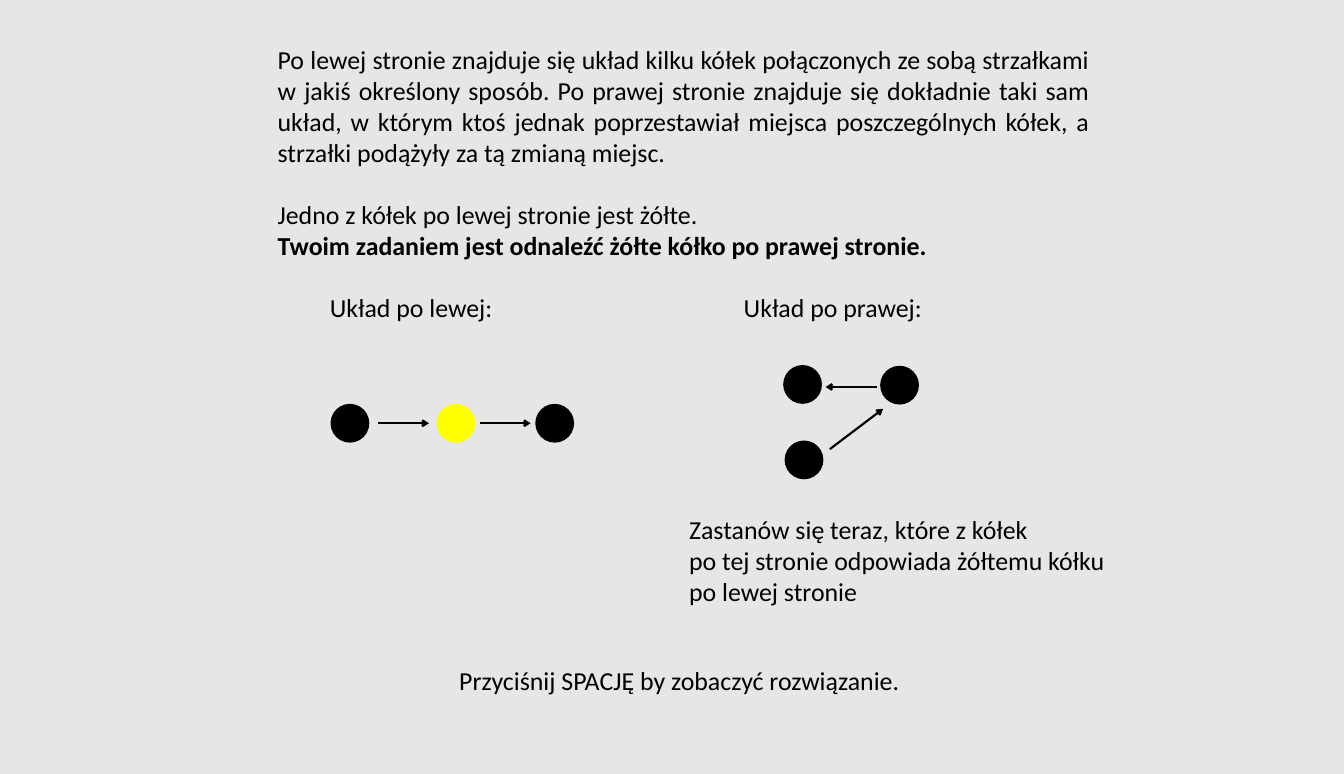
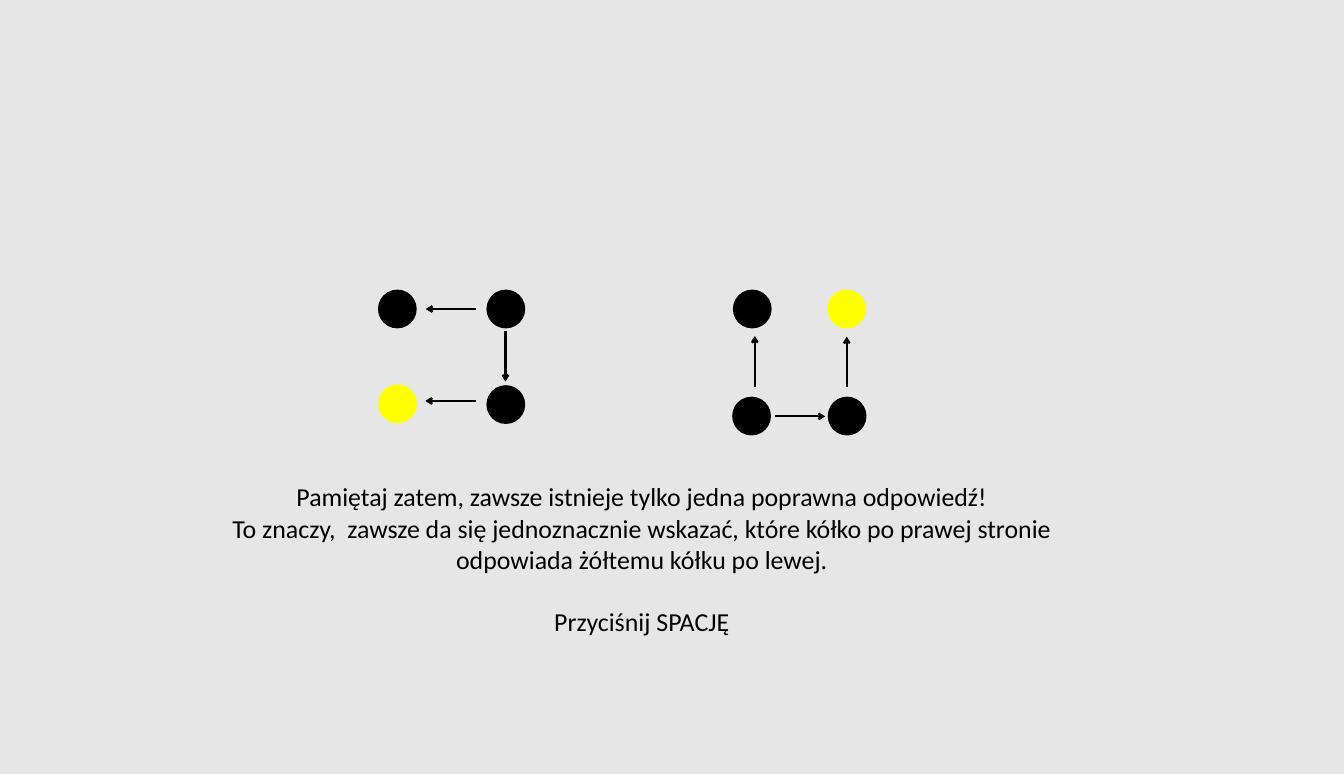
from lxml import etree
from pptx import Presentation
from pptx.dml.color import RGBColor
from pptx.enum.shapes import MSO_CONNECTOR, MSO_SHAPE
from pptx.enum.text import PP_ALIGN as AL
from pptx.oxml.ns import qn
from pptx.util import Pt

rgb = RGBColor.from_string
GREY, BLACK, YELLOW = "E7E6E6", "000000", "FFFF00"
FONT, SIZE = "Calibri", 36
LINE = 43.2  # height of one text line
DOT = 54     # diameter of a circle


def add_text(s, left, top, width, paragraphs, align=AL.LEFT):
    """Add a text box; each paragraph is (text, bold, space before)."""
    box = s.shapes.add_textbox(Pt(left), Pt(top), Pt(width), Pt(LINE + 7.2))
    tf = box.text_frame
    tf.word_wrap = True
    for i, (text, bold, before) in enumerate(paragraphs):
        p = tf.paragraphs[0] if i == 0 else tf.add_paragraph()
        p.text = text
        p.alignment = align
        p.space_before = Pt(before)
        font = p.runs[0].font
        font.name, font.size, font.bold = FONT, Pt(SIZE), bold
        font.color.rgb = rgb(BLACK)


def add_diagram(s, dots, arrows):
    """Add a group of circles (centre x, y, colour) and arrows (x1, y1, x2, y2)."""
    shapes = s.shapes.add_group_shape().shapes
    for x, y, color in dots:
        sp = shapes.add_shape(MSO_SHAPE.OVAL, Pt(x - DOT / 2), Pt(y - DOT / 2),
                              Pt(DOT), Pt(DOT))
        sp.shadow.inherit = False
        sp.fill.solid()
        sp.fill.fore_color.rgb = rgb(color)
        sp.line.fill.background()
    for ends in arrows:
        arrow = shapes.add_connector(MSO_CONNECTOR.STRAIGHT, *map(Pt, ends))
        arrow.line.color.rgb = rgb(BLACK)
        arrow.line.width = Pt(3)
        ln = arrow.line._get_or_add_ln()
        etree.SubElement(ln, qn("a:tailEnd"), type="arrow")
        etree.SubElement(arrow._element.spPr, qn("a:effectLst"))


prs = Presentation()
prs.slide_width, prs.slide_height = Pt(1870.56), Pt(1077.12)
background = prs.slide_master.background.fill
background.solid()
background.fore_color.rgb = rgb(GREY)
blank = prs.slide_layouts[6]

# Slide 1: the task
s = prs.slides.add_slide(blank)
add_text(s, 379.4, 57, 1144, [
    ("Po lewej stronie znajduje się układ kilku kółek połączonych ze sobą "
     "strzałkami w jakiś określony sposób. Po prawej stronie znajduje się "
     "dokładnie taki sam układ, w którym ktoś jednak poprzestawiał miejsca "
     "poszczególnych kółek, a strzałki podążyły za tą zmianą miejsc.", False, 0),
    ("Jedno z kółek po lewej stronie jest żółte.", False, LINE),
    ("Twoim zadaniem jest odnaleźć żółte kółko po prawej stronie.", True, 0),
], AL.JUSTIFY)
for left, label in [(452, "Układ po lewej:"), (1028, "Układ po prawej:")]:
    add_text(s, left, 403, 320, [(label, False, 0)])
add_diagram(s,
            [(487, 589, BLACK), (634, 589, YELLOW), (772, 589, BLACK)],
            [(526.5, 589, 597, 589), (668, 589, 738.5, 589)])
add_diagram(s,
            [(1117, 535, BLACK), (1252, 536, BLACK), (1119, 640, BLACK)],
            [(1220, 538.5, 1149, 538.5), (1155, 625, 1229, 569)])
add_text(s, 952, 711.4, 606, [
    ("Zastanów się teraz, które z kółek", False, 0),
    ("po tej stronie odpowiada żółtemu kółku", False, 0),
    ("po lewej stronie", False, 0),
])
add_text(s, 632, 922, 720,
         [("Przyciśnij SPACJĘ by zobaczyć rozwiązanie.", False, 0)])

# Slide 2: the only correct answer
s = prs.slides.add_slide(blank)
add_diagram(s,
            [(553, 430, BLACK), (704, 430, BLACK),
             (554, 562, YELLOW), (704, 563, BLACK)],
            [(663, 430, 592.5, 430), (662.5, 558, 592, 558),
             (703.5, 460, 703.5, 531)])
add_diagram(s,
            [(1047, 430, BLACK), (1179, 430, YELLOW),
             (1046, 579, BLACK), (1179, 579, BLACK)],
            [(1050.5, 538.5, 1050.5, 467.5), (1178.5, 539, 1178.5, 468.5),
             (1078, 579.5, 1148.5, 579.5)])
add_text(s, 252.7, 666, 1281, [
    ("Pamiętaj zatem, zawsze istnieje tylko jedna poprawna odpowiedź!", False, 0),
    ("To znaczy,  zawsze da się jednoznacznie wskazać, które kółko po prawej "
     "stronie odpowiada żółtemu kółku po lewej.", False, 0),
    ("Przyciśnij SPACJĘ", False, LINE),
], AL.CENTER)

prs.save("out.pptx")
